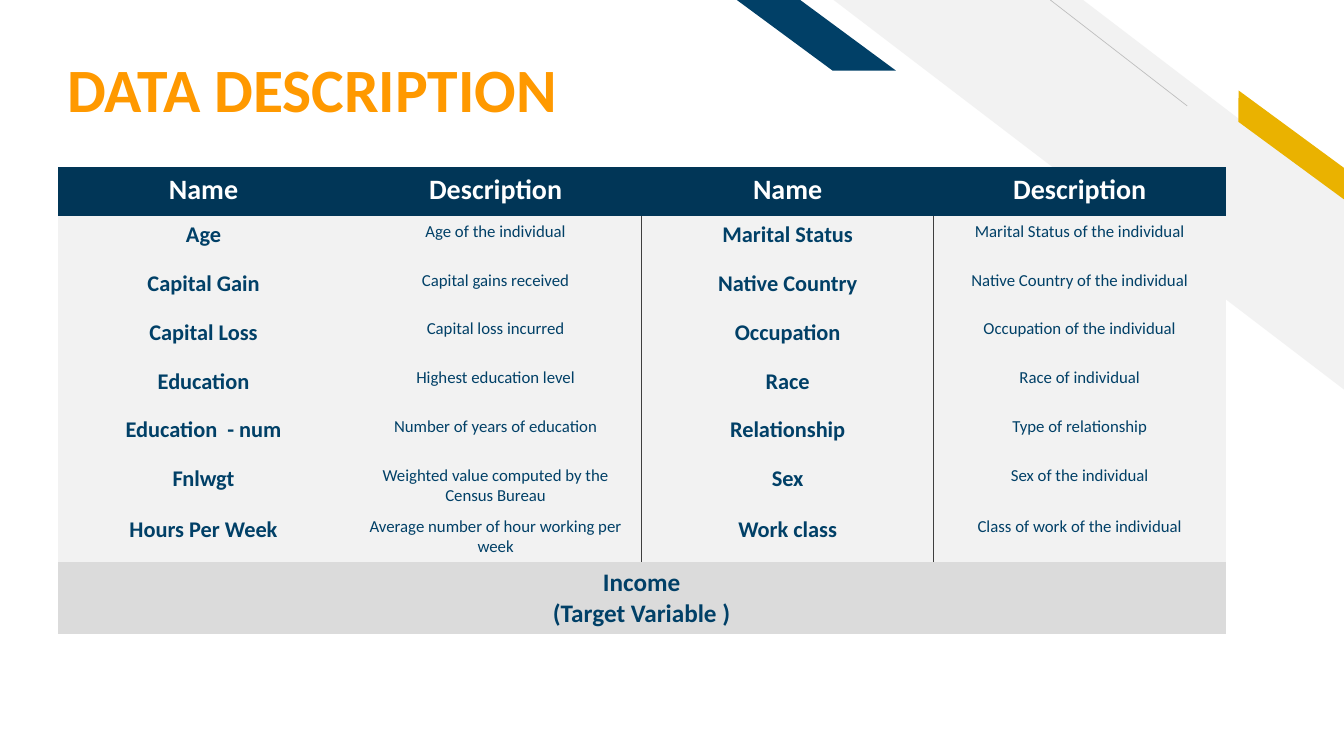
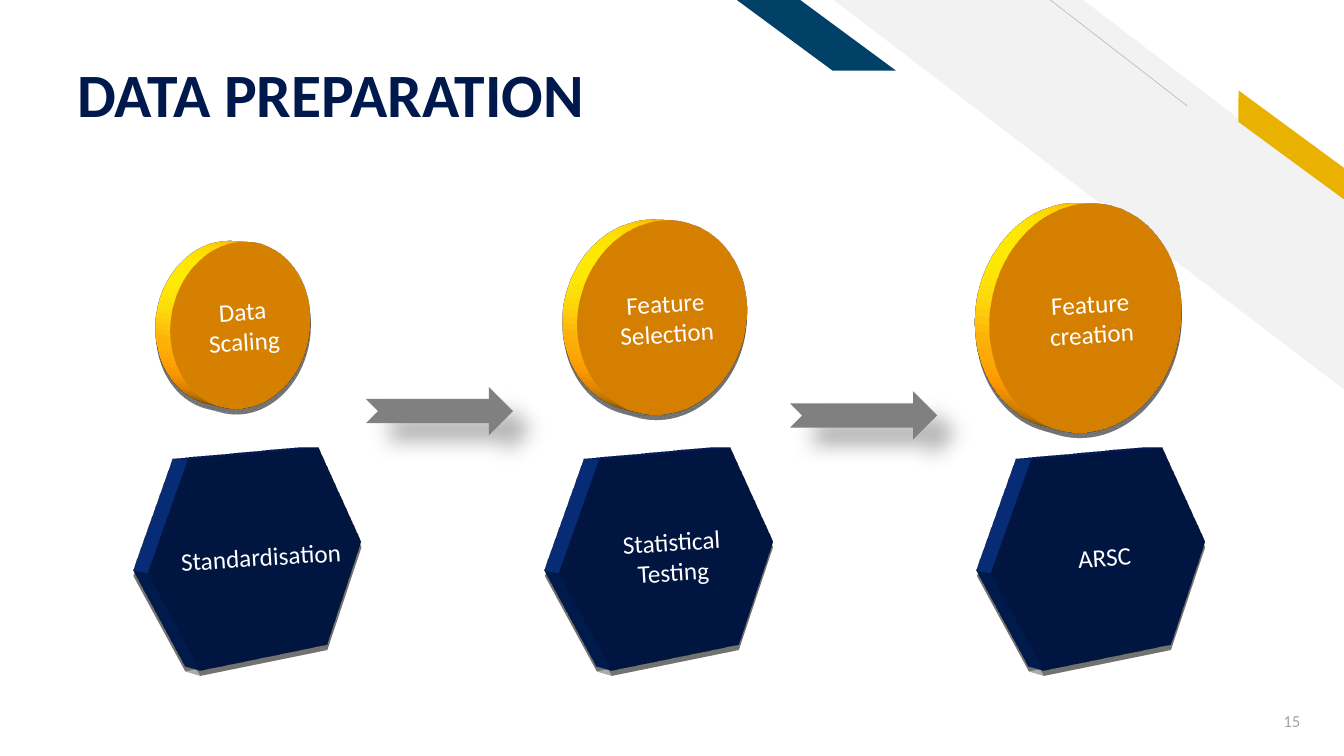
from lxml import etree
from pptx import Presentation
from pptx.dml.color import RGBColor
from pptx.enum.shapes import MSO_CONNECTOR, MSO_SHAPE
from pptx.enum.text import MSO_ANCHOR, MSO_AUTO_SIZE, PP_ALIGN
from pptx.oxml import parse_xml
from pptx.util import Cm, Pt

STRIPE, PARALLELOGRAM = MSO_SHAPE.DIAGONAL_STRIPE, MSO_SHAPE.PARALLELOGRAM
OVAL, HEXAGON, ARROW = MSO_SHAPE.OVAL, MSO_SHAPE.HEXAGON, MSO_SHAPE.NOTCHED_RIGHT_ARROW
STRAIGHT = MSO_CONNECTOR.STRAIGHT
LEFT, CENTER, RIGHT = PP_ALIGN.LEFT, PP_ALIGN.CENTER, PP_ALIGN.RIGHT
MIDDLE, BOTTOM = MSO_ANCHOR.MIDDLE, MSO_ANCHOR.BOTTOM
NO_AUTOFIT = MSO_AUTO_SIZE.NONE

COLORS = {
    "orange": "FF9900", "navy": "00194C", "blue": "014067", "header": "013657",
    "gold": "EAB200", "pale": "F2F2F2", "silver": "DBDBDB", "line": "BFBFBF",
    "divider": "3F3F3F", "arrow": "808080", "number": "A5A5A5", "white": "FFFFFF",
}
FONT = "Calibri"
DRAWING = 'xmlns:a="http://schemas.openxmlformats.org/drawingml/2006/main"'
NO_GRID_STYLE = "{2D5ABB26-0587-4C30-8999-92F81FD0307C}"


def write_text(text_frame, text, size, color, bold=False, alignment=CENTER, spacing=None):
    text_frame.text = text
    for paragraph in text_frame.paragraphs:
        for name, value in {"alignment": alignment, "line_spacing": spacing}.items():
            setattr(paragraph, name, value)
        font = paragraph.runs[0].font
        for name, value in {"name": FONT, "size": Pt(size), "bold": bold}.items():
            setattr(font, name, value)
        font.color.rgb = RGBColor.from_string(COLORS[color])


def add_filled_shape(slide, kind, box, color):
    shape = slide.shapes.add_shape(kind, *(Cm(length) for length in box))
    shape.shadow.inherit = False
    shape.fill.solid()
    shape.fill.fore_color.rgb = RGBColor.from_string(COLORS[color])
    shape.line.fill.background()
    return shape


presentation = Presentation()
presentation.slide_width, presentation.slide_height = Cm(33.87), Cm(19.05)
layout = presentation.slide_layouts[5]

# Slides and titles
titles = [
    ("DATA DESCRIPTION", "orange", (1.45, 0.58, 13.44, 2.59)),
    ("DATA PREPARATION", "navy", (1.7, 1.27, 14, 2.03)),
]
for text, color, box in titles:
    title = presentation.slides.add_slide(layout).shapes.title
    title.left, title.top, title.width, title.height = (Cm(length) for length in box)
    title_format = {
        "auto_size": NO_AUTOFIT, "word_wrap": True, "vertical_anchor": BOTTOM,
        "margin_left": Cm(0.25), "margin_right": Cm(0.25),
        "margin_top": Cm(0.13), "margin_bottom": 0,
    }
    for name, value in title_format.items():
        setattr(title.text_frame, name, value)
    write_text(title.text_frame, text, 44, color, True, LEFT, 0.9)
description_slide, preparation_slide = presentation.slides

# Diagonal bands, moved to the layout that both slides share
bands = [
    (STRIPE, (21.01, 0, 12.88, 9.83), "pale", 0.512, 0),
    (PARALLELOGRAM, (30.66, 3.33, 3.76, 0.64), "gold", 0.72, 36.3),
    (PARALLELOGRAM, (18.57, 0, 4.01, 1.78), "blue", 1.356, 0),
]
decorations = []
for kind, box, color, adjustment, rotation in bands:
    band = add_filled_shape(description_slide, kind, box, color)
    band.adjustments[0] = adjustment
    band.rotation = rotation
    band.element.spPr.find("{*}xfrm").set("flipH", "1")
    decorations.append(band)
thin_line = description_slide.shapes.add_connector(
    STRAIGHT, Cm(29.92), Cm(2.67), Cm(26.47), Cm(0))
thin_line.line.color.rgb = RGBColor.from_string(COLORS["line"])
thin_line.line.width = Pt(0.5)
thin_line.element.spPr.append(parse_xml(f"<a:effectLst {DRAWING}/>"))
decorations.append(thin_line)
for number, decoration in enumerate(decorations, start=101):
    decoration.element.xpath(".//p:cNvPr")[0].set("id", str(number))
    layout.shapes.element.append(decoration.element)

# Table of variables
rows = [
    ("Name", "Description", "Name", "Description"),
    ("Age", "Age of the individual", "Marital Status", "Marital Status of the individual"),
    ("Capital Gain", "Capital gains received",
     "Native Country", "Native Country of the individual"),
    ("Capital Loss", "Capital loss incurred", "Occupation", "Occupation of the individual"),
    ("Education", "Highest education level", "Race", "Race of individual"),
    ("Education  - num", "Number of years of education",
     "Relationship", "Type of relationship"),
    ("Fnlwgt", "Weighted value computed by the Census Bureau", "Sex", "Sex of the individual"),
    ("Hours Per Week", "Average number of hour working per week",
     "Work class", "Class of work of the individual"),
    ("Income\n(Target Variable )",),
]
row_heights = [1.23] * 6 + [1.25] * 2 + [1.73]
table_frame = description_slide.shapes.add_table(
    len(rows), 4, Cm(1.45), Cm(4.22), Cm(29.44), Cm(sum(row_heights)))
table = table_frame.table
table_frame.element.xpath(".//a:tableStyleId")[0].text = NO_GRID_STYLE
for column in table.columns:
    column.width = Cm(7.36)
table.cell(8, 0).merge(table.cell(8, 3))
divider_sides = {1: "lnR", 2: "lnL"}
for row_index, texts in enumerate(rows):
    table.rows[row_index].height = Cm(row_heights[row_index])
    for column_index, text in enumerate(texts):
        cell = table.cell(row_index, column_index)
        is_name = column_index % 2 == 0
        if row_index == 0:
            fill, size, color, bold = "header", 20, "white", True
        elif len(texts) == 1:
            fill, size, color, bold = "silver", 18, "blue", True
        else:
            fill, size, color, bold = "pale", 16 if is_name else 12, "blue", is_name
        write_text(cell.text_frame, text, size, color, bold)
        cell.fill.solid()
        cell.fill.fore_color.rgb = RGBColor.from_string(COLORS[fill])
        if fill == "pale" and column_index in divider_sides:
            side = divider_sides[column_index]
            cell._tc.get_or_add_tcPr().insert(0, parse_xml(
                f'<a:{side} {DRAWING} w="12700"><a:solidFill>'
                f'<a:srgbClr val="{COLORS["divider"]}"/></a:solidFill></a:{side}>'))

# Shadows and depth
SHADOW = (
    f'<a:effectLst {DRAWING}><a:outerShdw blurRad="%d" dist="%d" dir="%d" algn="ctr">'
    '<a:srgbClr val="000000"><a:alpha val="%d"/></a:srgbClr></a:outerShdw></a:effectLst>')
SOLID_SHADOW = SHADOW % (225425, 50800, 5220000, 33000)
ARROW_SHADOW = SHADOW % (190500, 228600, 2700000, 30000)
SCENE = (
    f'<a:scene3d {DRAWING}><a:camera prst="perspectiveFront" fov="3300000">'
    '<a:rot lat="486000" lon="19530000" rev="174000"/></a:camera>'
    '<a:lightRig rig="harsh" dir="t"><a:rot lat="0" lon="0" rev="3000000"/></a:lightRig>'
    '</a:scene3d>')
DEPTH = (
    f'<a:sp3d {DRAWING} extrusionH="254000" contourW="19050">'
    '<a:bevelT w="82550" h="44450" prst="angle"/><a:bevelB w="82550" h="44450" prst="angle"/>'
    '<a:contourClr><a:srgbClr val="FFFFFF"/></a:contourClr></a:sp3d>')

# Steps (discs), their methods (hexagons) and the arrows between them
hexagon_box = (11.43, 6.55, 5.18)
solids = [
    (OVAL, (3.99, 6.1, 4.29, 4.22), "orange", "Data Scaling"),
    (OVAL, (14.2, 5.56, 5.18, 4.9), "orange", "Feature Selection"),
    (OVAL, (24.56, 5.13, 5.87, 5.79), "orange", "Feature creation"),
    (HEXAGON, (3.3, *hexagon_box), "navy", "Standardisation"),
    (HEXAGON, (13.67, *hexagon_box), "navy", "Statistical Testing"),
    (HEXAGON, (24.56, *hexagon_box), "navy", "ARSC"),
]
arrows = [(ARROW, (left, top, 3.71, 1.22), "arrow", None)
          for left, top in [(9.22, 9.75), (19.91, 9.86)]]
for kind, box, color, text in solids + arrows:
    shape = add_filled_shape(preparation_slide, kind, box, color)
    properties = shape.element.spPr
    properties.remove(properties.find("{*}effectLst"))
    effects = [SOLID_SHADOW, SCENE, DEPTH] if text else [ARROW_SHADOW]
    for effect in effects:
        properties.append(parse_xml(effect))
    if text:
        shape.text_frame.vertical_anchor = MIDDLE
        write_text(shape.text_frame, text, 18, "white")

# Slide number
number_box = preparation_slide.shapes.add_textbox(Cm(30.96), Cm(17.65), Cm(2.06), Cm(1.02))
number_box.text_frame.word_wrap = True
number_box.text_frame.vertical_anchor = MIDDLE
write_text(number_box.text_frame, "15", 12, "number", alignment=RIGHT)

presentation.save("out.pptx")
